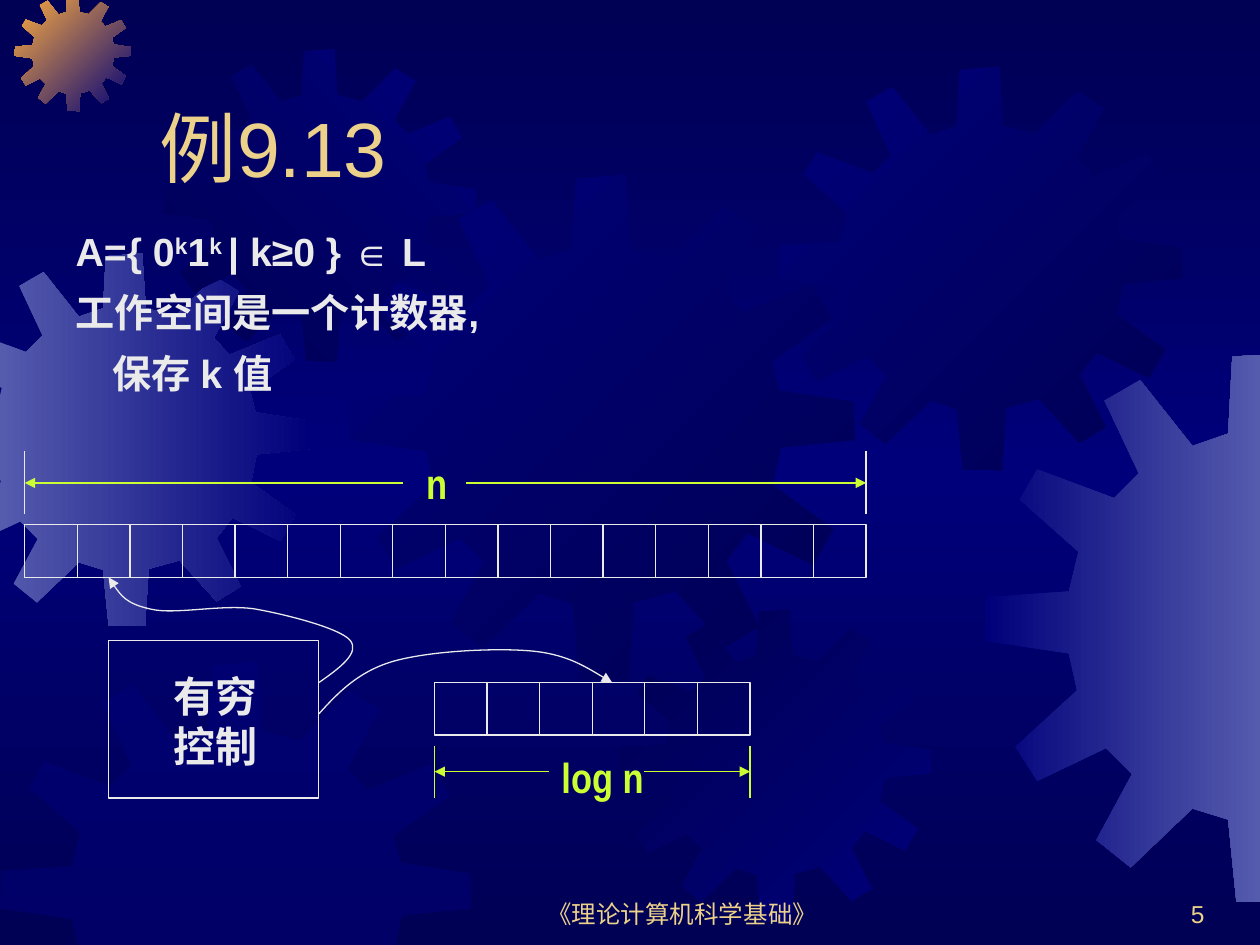
"""Build the slide for example 9.13: a log-space machine with its two tapes."""
from copy import deepcopy

from lxml.etree import SubElement
from pptx import Presentation
from pptx.dml.color import RGBColor
from pptx.enum.shapes import MSO_CONNECTOR, MSO_SHAPE
from pptx.enum.text import MSO_ANCHOR as Anchor, MSO_AUTO_SIZE, PP_ALIGN as Align
from pptx.oxml.ns import qn
from pptx.util import Cm, Pt

DARK = RGBColor(0x00, 0x00, 0x54)
NAVY = RGBColor(0x00, 0x00, 0x7A)
PERIWINKLE = RGBColor(0x55, 0x5B, 0xAD)
ORANGE = RGBColor(0xFC, 0xAB, 0x40)
GOLD = RGBColor(0xEB, 0xD1, 0x89)
WHITE = RGBColor(0xEA, 0xEA, 0xEA)
LIME = RGBColor(0xCC, 0xFF, 0x33)

WIDTH, HEIGHT = 25.4, 19.05
CELL = 1.06
GEAR_SIZE = 401
GEAR = [
    (255, 67), (223, 59), (219, 0), (180, 3), (177, 59), (151, 68),
    (113, 20), (87, 35), (112, 88), (94, 106), (38, 85), (25, 107),
    (68, 145), (61, 174), (1, 178), (0, 210), (61, 219), (67, 246),
    (22, 287), (38, 312), (88, 288), (107, 307), (81, 355), (106, 375),
    (151, 332), (177, 340), (183, 400), (222, 401), (226, 339), (259, 330),
    (299, 374), (325, 358), (299, 306), (316, 284), (368, 309), (384, 281),
    (336, 246), (342, 216), (401, 210), (400, 180), (341, 171), (335, 148),
    (383, 114), (367, 87), (313, 109), (296, 91), (323, 41), (297, 25),
]


def clip(points, axis, limit, sign):
    """Keep the part of a polygon on one side of a slide edge."""
    kept = []
    for start, end in zip(points, points[1:] + points[:1]):
        before, after = [(point[axis] - limit) * sign for point in (start, end)]
        if before >= 0:
            kept.append(start)
        if before * after < 0:
            share = before / (before - after)
            kept.append(tuple(a + (b - a) * share for a, b in zip(start, end)))
    return kept


def write_run(paragraph, text, color, **values):
    """Add a run with the given font values."""
    run = paragraph.add_run()
    run.text = text
    run.font.color.rgb = color
    for name, value in values.items():
        setattr(run.font, name, value)


presentation = Presentation()
presentation.slide_width, presentation.slide_height = Cm(WIDTH), Cm(HEIGHT)
slide = presentation.slides.add_slide(presentation.slide_layouts[1])
shapes = slide.shapes

background = slide.background.fill
background.gradient()
background.gradient_angle = 270
stop_list = next(slide.element.iter(qn("a:gsLst")))
stop_list.insert(1, deepcopy(stop_list[0]))
for stop, position, color in zip(background.gradient_stops, (0, 0.5, 1), (DARK, NAVY, DARK)):
    stop.position, stop.color.rgb = position, color

gears = [
    (-1.24, 5.11, 7.52, (PERIWINKLE, NAVY), 0),
    (0.3, -0.1, 2.34, (ORANGE, NAVY), 315),
    (3.3, 0.99, 6.3, (DARK, NAVY), 45),
    (7.04, 3.53, 10.19, (NAVY, DARK), 315),
    (0, 13.34, 9.5, (NAVY,), None),
    (12.47, 12.29, 6.3, (DARK, NAVY), 315),
    (15.7, 1.35, 8.13, (NAVY, DARK), 315),
    (19.86, 7.11, 11.1, (NAVY, PERIWINKLE), 0),
]
for left, top, size, colors, angle in gears:
    scale = size / GEAR_SIZE
    outline = [(left + x * scale, top + y * scale) for x, y in GEAR]
    for axis, limit, sign in ((0, 0, 1), (0, WIDTH, -1), (1, 0, 1), (1, HEIGHT, -1)):
        outline = clip(outline, axis, limit, sign)
    outline = [(Cm(x), Cm(y)) for x, y in outline]
    builder = shapes.build_freeform(*outline[0])
    builder.add_line_segments(outline[1:])
    shape = builder.convert_to_shape()
    shape.shadow.inherit = False
    shape.line.fill.background()
    if angle is None:
        shape.fill.solid()
        shape.fill.fore_color.rgb = colors[0]
        alpha = SubElement(next(shape.element.iter(qn("a:srgbClr"))), qn("a:alpha"))
        alpha.set("val", "50000")
    else:
        shape.fill.gradient()
        shape.fill.gradient_angle = angle
        for stop, position, color in zip(shape.fill.gradient_stops, (0, 1), colors):
            stop.position, stop.color.rgb = position, color

title, body = shapes.title, slide.placeholders[1]
places = [(title, (2.97, 0.84, 21.59, 3.18), Anchor.BOTTOM),
          (body, (1.27, 4.45, 22.86, 3.73), Anchor.TOP)]
for shape, place, anchor in places:
    shape.left, shape.top, shape.width, shape.height = map(Cm, place)
    frame = shape.text_frame
    frame.auto_size, frame.vertical_anchor = MSO_AUTO_SIZE.NONE, anchor
    shapes.element.append(shape.element)

paragraph = title.text_frame.paragraphs[0]
paragraph.alignment = Align.LEFT
write_run(paragraph, "例9.13", GOLD, size=Pt(44), name="Arial")

body_lines = [
    (("A={ 0", "k", "1", "k ", "| k≥0 } ∈ L"), 0),
    (("工作空间是一个计数器,",), 0),
    (("保存 k 值",), 0.75),
]
for index, (texts, margin) in enumerate(body_lines):
    frame = body.text_frame
    paragraph = frame.add_paragraph() if index else frame.paragraphs[0]
    properties = paragraph._p.get_or_add_pPr()
    properties.set("marL", str(Cm(margin)))
    properties.set("indent", "0")
    SubElement(properties, qn("a:buNone"))
    paragraph.space_before = Pt(8 if index else 0)
    for text in texts:
        write_run(paragraph, text, WHITE, size=Pt(22.4), name="Arial", bold=True)
for properties in list(body.element.iter(qn("a:rPr")))[1:4:2]:
    properties.set("baseline", "30000")

boxes = [(0.5 + CELL * index, 10.58, CELL, CELL) for index in range(16)]
boxes += [(8.76 + CELL * index, 13.76, CELL, CELL) for index in range(6)]
boxes.append((2.19, 12.91, 4.23, 3.18))
for box in boxes:
    shape = shapes.add_shape(MSO_SHAPE.RECTANGLE, *map(Cm, box))
    shape.shadow.inherit = False
    shape.fill.background()
    shape.line.color.rgb, shape.line.width = WHITE, Pt(0.75)

head_curves = [
    [(6.43, 14.39), (6.81, 13.97), (7.21, 13.55), (7.9, 13.34), (8.61, 13.13),
     (9.91, 13.06), (10.67, 13.12), (11.4, 13.18), (11.89, 13.49), (12.34, 13.76)],
    [(6.43, 13.76), (6.86, 13.46), (7.26, 13.16), (7.06, 12.91), (6.86, 12.67),
     (5.82, 12.4), (5.16, 12.28), (4.5, 12.17), (3.53, 12.4), (3.04, 12.28),
     (2.54, 12.17), (2.36, 11.91), (2.19, 11.64)],
]
for curve in head_curves:
    points = [(Cm(x), Cm(y)) for x, y in curve]
    builder = shapes.build_freeform(*points[0])
    builder.add_line_segments(points[1:], close=False)
    shape = builder.convert_to_shape()
    shape.shadow.inherit = False
    shape.fill.background()
    shape.line.color.rgb, shape.line.width = WHITE, Pt(0.75)
    SubElement(next(shape.element.iter(qn("a:ln"))), qn("a:tailEnd")).set("type", "triangle")
    outline = next(shape.element.iter(qn("a:path")))
    segments = outline.findall(qn("a:lnTo"))
    for first in range(0, len(segments), 3):
        bezier = SubElement(outline, qn("a:cubicBezTo"))
        for segment in segments[first:first + 3]:
            bezier.append(segment[0])
            outline.remove(segment)

dimensions = [
    (8.76, 8.76 + 6 * CELL, 15.03, 1.05, 11.07, 12.98, LIME),
    (0.5, 0.5 + 16 * CELL, 9.1, 1.27, 8.12, 9.4, WHITE),
]
for left, right, top, height, gap_left, gap_right, tick_color in dimensions:
    middle, bottom = top + height / 2, top + height
    strokes = [
        ((left, top, left, bottom), tick_color, False),
        ((right, top, right, bottom), tick_color, False),
        ((gap_right, middle, right, middle), LIME, True),
        ((gap_left, middle, left, middle), LIME, True),
    ]
    for ends, color, arrow in strokes:
        line = shapes.add_connector(MSO_CONNECTOR.STRAIGHT, *map(Cm, ends))
        line.line.color.rgb, line.line.width = color, Pt(0.75)
        if arrow:
            SubElement(next(line.element.iter(qn("a:ln"))), qn("a:tailEnd")).set("type", "triangle")
        SubElement(line.element.find(qn("p:spPr")), qn("a:effectLst"))

label = {"size": Pt(24), "name": "Arial Narrow", "bold": True}
footer = {"size": Pt(14), "name": "Arial"}
texts = [
    ("有穷控制", (3.25, 13.39, 2.54, 2.29), WHITE, label, Align.LEFT, Anchor.TOP),
    ("log n", (11.07, 15.03, 2.54, 1.27), LIME, label, Align.LEFT, Anchor.TOP),
    ("n", (8.34, 9.1, 1.47, 1.27), LIME, label, Align.LEFT, Anchor.TOP),
    ("《理论计算机科学基础》", (9.73, 17.58, 8.05, 1.27), GOLD, footer, Align.CENTER, Anchor.BOTTOM),
    ("5", (19.25, 17.58, 5.28, 1.27), GOLD, footer, Align.RIGHT, Anchor.BOTTOM),
]
for text, place, color, values, alignment, anchor in texts:
    frame = shapes.add_textbox(*map(Cm, place)).text_frame
    frame.word_wrap, frame.vertical_anchor = True, anchor
    frame.paragraphs[0].alignment = alignment
    write_run(frame.paragraphs[0], text, color, **values)

presentation.save("out.pptx")
